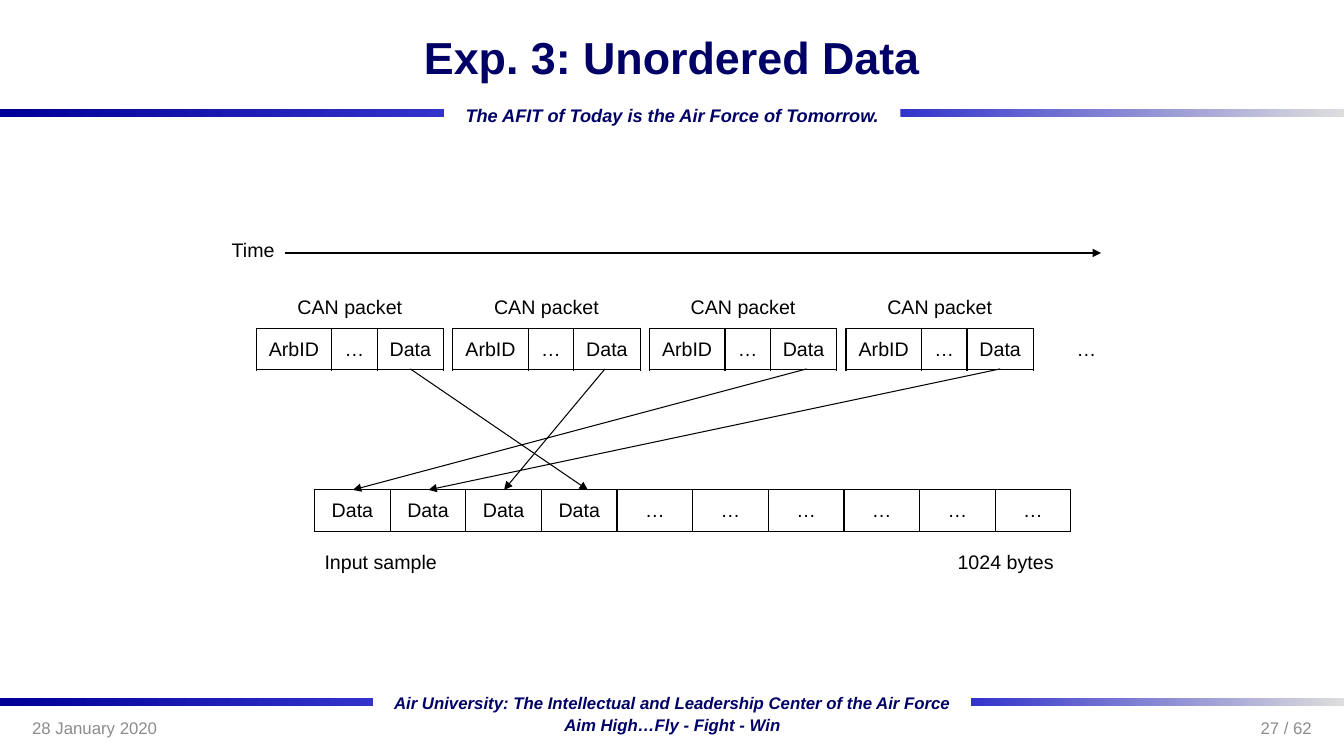
from dataclasses import dataclass

from lxml import etree
from pptx import Presentation
from pptx import slide as sl
from pptx import table as tb
from pptx.dml import color as co
from pptx.enum import shapes as sh
from pptx.enum import text as tx
from pptx.oxml import ns

NAVY = co.RGBColor(0x00, 0x00, 0x66)
DEEP = co.RGBColor(0x00, 0x00, 0x99)
BLUE = co.RGBColor(0x33, 0x33, 0xCC)
PALE = co.RGBColor(0xDD, 0xDD, 0xDD)
GRAY = co.RGBColor(0x8C, 0x8C, 0x8C)
BLACK = co.RGBColor(0x00, 0x00, 0x00)
WHITE = co.RGBColor(0xFF, 0xFF, 0xFF)

from pptx import util as u

LEFT, MID, RIGHT = tx.PP_ALIGN.LEFT, tx.PP_ALIGN.CENTER, tx.PP_ALIGN.RIGHT
TOP, HALF = tx.MSO_ANCHOR.TOP, tx.MSO_ANCHOR.MIDDLE
ROW = 0.41
PACK = (0.75, 0.45, 0.66)


@dataclass
class Band:
    x: float
    y: float
    w: float
    h: float
    start: co.RGBColor
    end: co.RGBColor


@dataclass
class Label:
    text: str
    x: float
    y: float
    w: float
    h: float
    size: int = 14
    color: co.RGBColor = BLACK
    align: tx.PP_ALIGN = MID
    anchor: tx.MSO_ANCHOR = TOP
    wrap: bool = False
    motto: bool = False


@dataclass
class Arrow:
    x1: float
    y1: float
    x2: float
    y2: float


@dataclass
class Grid:
    x: float
    y: float
    cols: tuple[float, ...]
    rows: list[list[str]]
    head: bool = True
    lined: bool = True
    solid: bool = False


BANDS = [
    Band(0, 6.93, 3.7, 0.07, DEEP, BLUE),
    Band(9.63, 6.93, 3.7, 0.07, BLUE, PALE),
    Band(8.93, 1.08, 4.4, 0.08, BLUE, PALE),
    Band(0, 1.08, 4.4, 0.08, DEEP, BLUE),
]
LABELS = [
    Label("Air University: The Intellectual and Leadership Center of the Air Force",
          3.79, 6.82, 5.76, 0.29, 12, NAVY, motto=True),
    Label("Aim High…Fly - Fight - Win", 5.49, 7.04, 2.36, 0.29, 12, NAVY, motto=True),
    Label("The AFIT of Today is the Air Force of Tomorrow.",
          4.49, 0.99, 4.35, 0.31, 13, NAVY, motto=True),
    Label("28 January 2020", 0.22, 7.02, 3.11, 0.4, 12, GRAY, LEFT, HALF, True),
    Label("27 / 62", 10, 7.02, 3.11, 0.4, 12, GRAY, RIGHT, HALF, True),
    Label("Input sample", 3.12, 5.41, 1.32, 0.34, align=LEFT),
    Label("1024 bytes", 9.39, 5.41, 1.16, 0.34, align=RIGHT),
]
TIME = Label("Time", 2.17, 2.26, 0.75, 0.4, anchor=HALF, wrap=True)
GRIDS = [Grid(9.8, 2.85, PACK, [[""] * 3, ["", "…", ""]], lined=False, solid=True)]
GRIDS += [
    Grid(2.54 + 1.95 * i, 2.85, PACK,
         [["CAN packet", "", ""], ["ArbID", "…", "Data"]], solid=i > 1)
    for i in range(4)
]
GRIDS.append(Grid(3.12, 4.86, (0.75,) * 10, [["Data"] * 4 + ["…"] * 6], head=False))
LINKS = [(4.07, 5.83), (6, 5), (8, 3.5), (9.92, 4.25)]
ARROWS = [Arrow(a, 3.66, b, 4.86) for a, b in LINKS]
ARROWS.append(Arrow(2.83, 2.51, 10.92, 2.51))


def write(para, text: str, size: int, color: co.RGBColor,
          bold: bool = False, slant: bool = False) -> None:
    run = para.add_run()
    run.text = text
    font = run.font
    font.name, font.size = "Arial", u.Pt(size)
    font.bold, font.italic = bold, slant
    font.color.rgb = color


def draw_band(page: sl.Slide, band: Band) -> None:
    bar = page.shapes.add_shape(
        sh.MSO_SHAPE.RECTANGLE, *map(u.Inches, (band.x, band.y, band.w, band.h)))
    bar.shadow.inherit = False
    bar.line.fill.background()
    bar.fill.gradient()
    bar.fill.gradient_angle = 0
    for stop, tint in zip(bar.fill.gradient_stops, (band.start, band.end)):
        stop.color.rgb = tint


def draw_label(page: sl.Slide, item: Label):
    box = page.shapes.add_textbox(*map(u.Inches, (item.x, item.y, item.w, item.h)))
    frame = box.text_frame
    frame.word_wrap = item.wrap
    frame.vertical_anchor = item.anchor
    para = frame.paragraphs[0]
    para.alignment = item.align
    write(para, item.text, item.size, item.color, item.motto, item.motto)
    return para


def draw_arrow(page: sl.Slide, item: Arrow) -> None:
    line = page.shapes.add_connector(
        sh.MSO_CONNECTOR.STRAIGHT,
        *map(u.Inches, (item.x1, item.y1, item.x2, item.y2)))
    line.line.color.rgb = BLACK
    line.line.width = u.Pt(0.75)
    tip = etree.SubElement(line.line._get_or_add_ln(), ns.qn("a:tailEnd"))
    tip.set("type", "triangle")
    etree.SubElement(line._element.spPr, ns.qn("a:effectLst"))


def edge(cell: tb._Cell, sides: str) -> None:
    props = cell._tc.get_or_add_tcPr()
    for side in "LRTB":
        line = etree.SubElement(props, ns.qn(f"a:ln{side}"), w=str(u.Pt(1)))
        if side in sides:
            paint = etree.SubElement(line, ns.qn("a:solidFill"))
            etree.SubElement(paint, ns.qn("a:srgbClr"), val=str(BLACK))
        else:
            etree.SubElement(line, ns.qn("a:noFill"))


def draw_grid(page: sl.Slide, item: Grid) -> None:
    count = len(item.rows)
    size = (item.x, item.y, sum(item.cols), ROW * count)
    table = page.shapes.add_table(
        count, len(item.cols), *map(u.Inches, size)).table
    table.first_row = table.horz_banding = False
    for col, width in zip(table.columns, item.cols):
        col.width = u.Inches(width)
    for r, texts in enumerate(item.rows):
        table.rows[r].height = u.Inches(ROW)
        top = item.head and r == 0
        for c, text in enumerate(texts):
            cell = table.cell(r, c)
            edge(cell, "" if not item.lined else "B" if top else "LRTB")
            if item.solid and not (top and item.lined):
                cell.fill.solid()
                cell.fill.fore_color.rgb = WHITE
            else:
                cell.fill.background()
            cell.vertical_anchor = HALF
            if text:
                para = cell.text_frame.paragraphs[0]
                para.alignment = MID
                write(para, text, 14, BLACK)
    if item.head:
        table.cell(0, 0).merge(table.cell(0, len(item.cols) - 1))


def draw_title(page: sl.Slide) -> None:
    title = page.shapes.title
    title.left, title.top, title.width, title.height = map(
        u.Inches, (1, 0, 11.33, 1.12))
    title.text_frame.vertical_anchor = HALF
    para = title.text_frame.paragraphs[0]
    para.alignment = MID
    write(para, "Exp. 3: Unordered Data", 32, NAVY, bold=True)


def main() -> None:
    deck = Presentation()
    deck.slide_width, deck.slide_height = u.Inches(13.33), u.Inches(7.5)
    page = deck.slides.add_slide(deck.slide_layouts[5])
    draw_title(page)
    for band in BANDS:
        draw_band(page, band)
    for grid in GRIDS:
        draw_grid(page, grid)
    for arrow in ARROWS:
        draw_arrow(page, arrow)
    for label in LABELS:
        draw_label(page, label)
    write(draw_label(page, TIME), " ", 18, BLACK)
    deck.save("out.pptx")


if __name__ == "__main__":
    main()
